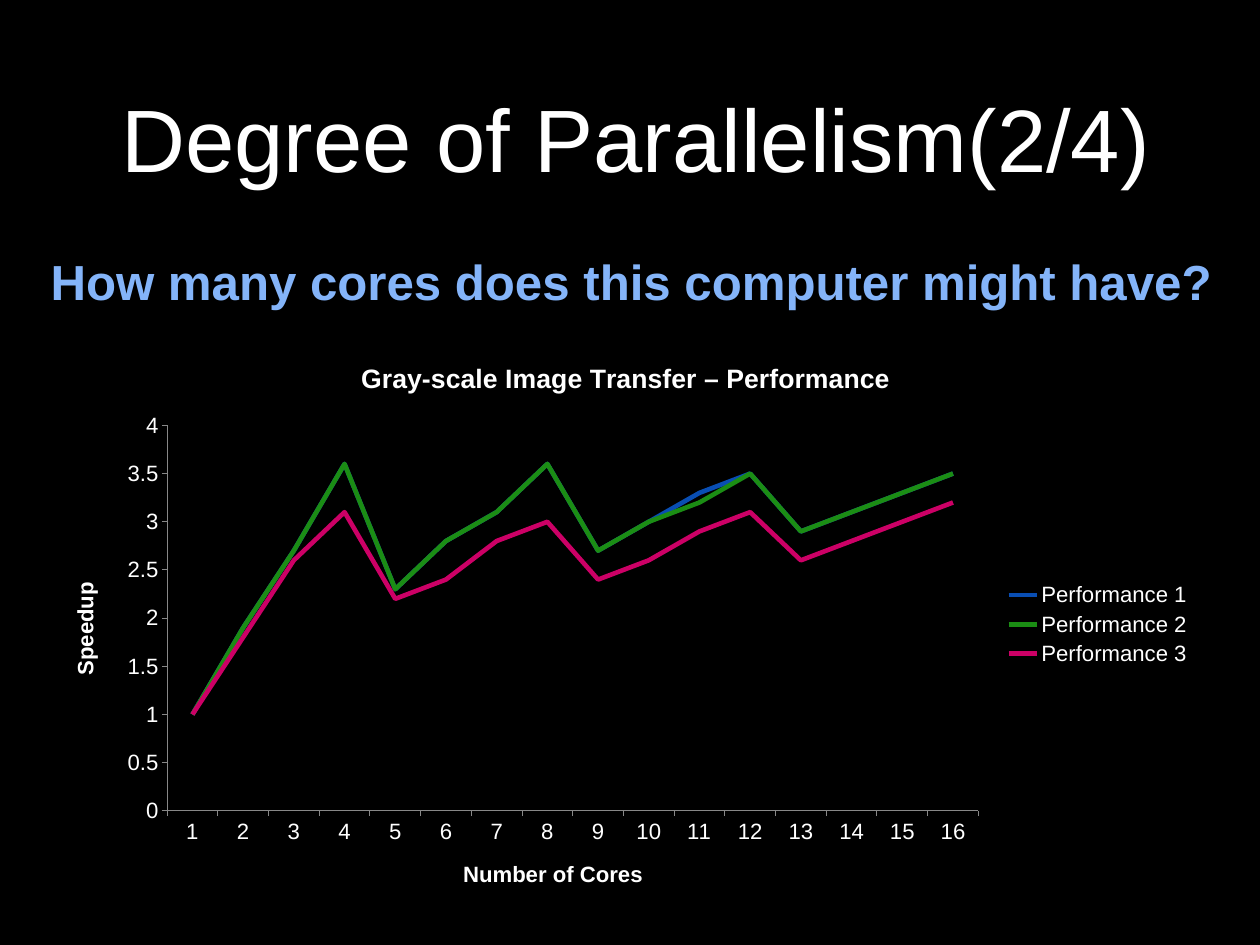
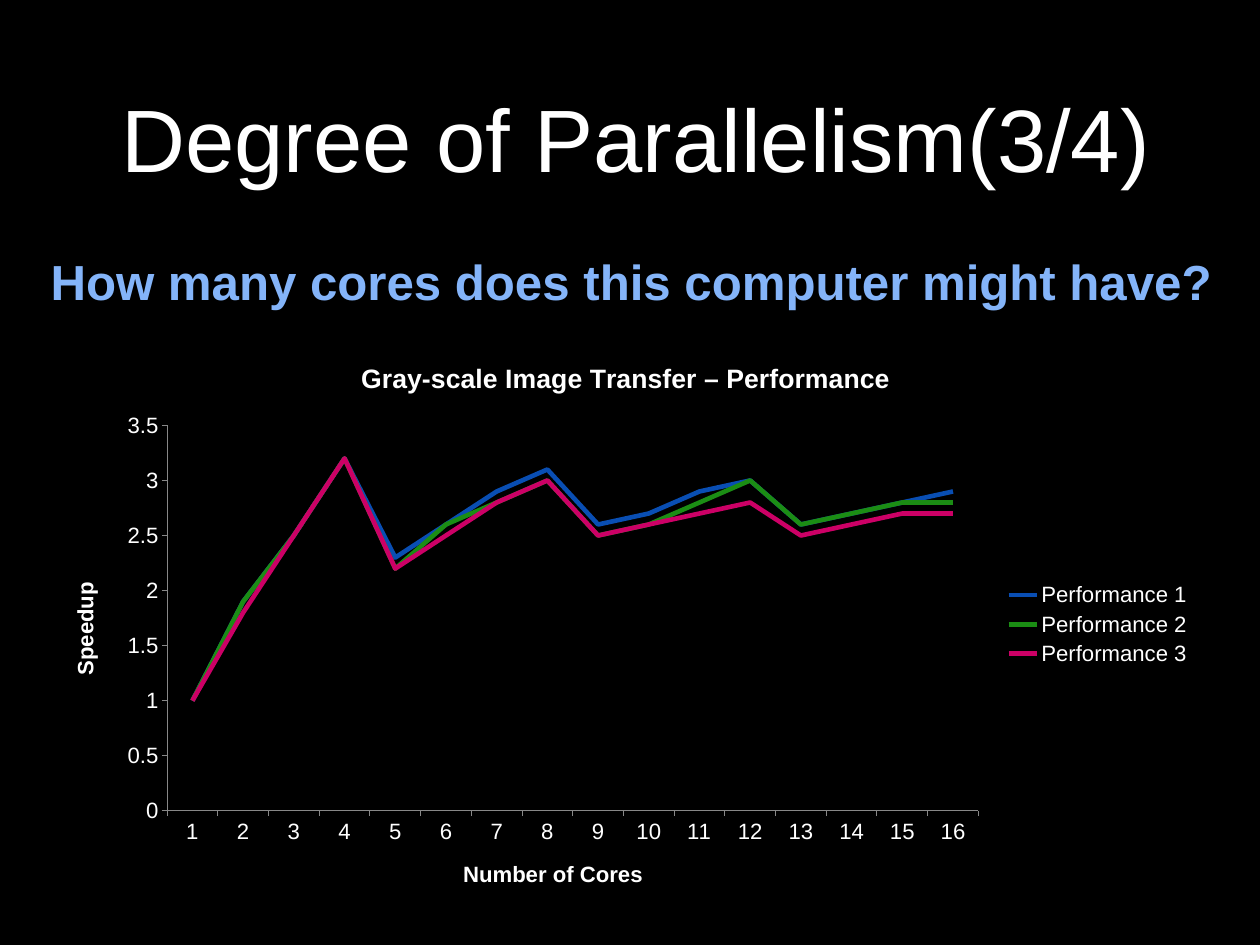
"""Two slides on the degree of parallelism, each with a speedup line chart."""
from dataclasses import dataclass
from typing import Any

from lxml import etree
from pptx import Presentation, util as u
from pptx.chart import data as cd
from pptx.dml.color import RGBColor
from pptx.enum import chart as ce, text as te

HUES = {"back": "000000", "white": "FFFFFF", "sky": "84B4F9", "gray": "888888",
        "blue": "094EB3", "green": "1B8D14", "pink": "CC0066"}
FACE = "Arial"
DRAW = "http://schemas.openxmlformats.org/drawingml/2006/main"
CHART = "http://schemas.openxmlformats.org/drawingml/2006/chart"
ASK = "How many cores does this computer might have?"
HEAD = "Gray-scale Image Transfer – Performance"


@dataclass(frozen=True)
class Box:
    """Place of an object in centimetres."""
    left: float
    top: float
    width: float
    height: float

    def span(self) -> tuple[u.Length, ...]:
        """Return the place as lengths."""
        return tuple(u.Cm(n) for n in (self.left, self.top, self.width, self.height))


@dataclass(frozen=True)
class Label:
    """Place and format of a text block."""
    box: Box
    hue: str
    font: dict[str, Any]
    frame: dict[str, Any]
    para: dict[str, Any]


@dataclass(frozen=True)
class Page:
    """Title and chart values of one slide."""
    title: str
    top: float
    rows: tuple[tuple[float, ...], ...]


BODY = Label(Box(1.45, 7.39, 33.81, 18.64), "sky", {"size": u.Pt(40), "bold": True},
             {"vertical_anchor": te.MSO_ANCHOR.TOP},
             {"alignment": te.PP_ALIGN.LEFT, "line_spacing": 0.9})
TITLE = Label(Box(3.38, 2.03, 29.69, 3.43), "white", {"size": u.Pt(72), "bold": False},
              {"vertical_anchor": te.MSO_ANCHOR.BOTTOM},
              {"alignment": te.PP_ALIGN.CENTER})
PLOT = Box(1.45, 9.75, 32.99, 16.31)
FRAME = {"word_wrap": True, "margin_left": 0, "margin_right": 0,
         "margin_top": 0, "margin_bottom": 0}
AXIS = {"has_major_gridlines": False, "major_tick_mark": ce.XL_TICK_MARK.OUTSIDE,
        "minor_tick_mark": ce.XL_TICK_MARK.NONE}
LEGEND = {"position": ce.XL_LEGEND_POSITION.RIGHT, "include_in_layout": False}

PAGES = (
    Page("Degree of Parallelism(2/4)", 4, (
        (1, 1.9, 2.7, 3.6, 2.3, 2.8, 3.1, 3.6, 2.7, 3, 3.3, 3.5, 2.9, 3.1, 3.3, 3.5),
        (1, 1.9, 2.7, 3.6, 2.3, 2.8, 3.1, 3.6, 2.7, 3, 3.2, 3.5, 2.9, 3.1, 3.3, 3.5),
        (1, 1.8, 2.6, 3.1, 2.2, 2.4, 2.8, 3, 2.4, 2.6, 2.9, 3.1, 2.6, 2.8, 3, 3.2))),
    Page("Degree of Parallelism(3/4)", 3.5, (
        (1, 1.9, 2.5, 3.2, 2.3, 2.6, 2.9, 3.1, 2.6, 2.7, 2.9, 3, 2.6, 2.7, 2.8, 2.9),
        (1, 1.9, 2.5, 3.2, 2.2, 2.6, 2.8, 3, 2.5, 2.6, 2.8, 3, 2.6, 2.7, 2.8, 2.8),
        (1, 1.8, 2.5, 3.2, 2.2, 2.5, 2.8, 3, 2.5, 2.6, 2.7, 2.8, 2.5, 2.6, 2.7, 2.7))),
)


def tint(name: str) -> RGBColor:
    """Return a named colour."""
    return RGBColor.from_string(HUES[name])


def apply(item: Any, form: dict[str, Any]) -> None:
    """Set each format value on an object."""
    for key, val in form.items():
        setattr(item, key, val)


def ink(font: Any, hue: str, form: dict[str, Any]) -> None:
    """Set the face, colour and format of a font."""
    apply(font, {"name": FACE, **form})
    font.color.rgb = tint(hue)


def write(slide: Any, words: str, label: Label) -> None:
    """Add a text block."""
    frame = slide.shapes.add_textbox(*label.box.span()).text_frame
    apply(frame, FRAME | label.frame)
    para = frame.paragraphs[0]
    apply(para, label.para)
    run = para.add_run()
    run.text = words
    ink(run.font, label.hue, label.font)


def name(item: Any, words: str, size: float) -> None:
    """Give a chart or an axis its title."""
    frame = (item.chart_title if hasattr(item, "chart_title") else item.axis_title).text_frame
    run = frame.paragraphs[0].add_run()
    run.text = words
    ink(run.font, "white", {"size": u.Pt(size), "bold": True})


def clear() -> Any:
    """Return shape settings with neither fill nor line."""
    props = etree.Element(f"{{{CHART}}}spPr")
    etree.SubElement(props, f"{{{DRAW}}}noFill")
    line = etree.SubElement(props, f"{{{DRAW}}}ln")
    etree.SubElement(line, f"{{{DRAW}}}noFill")
    return props


def graph(slide: Any, page: Page) -> None:
    """Add the speedup chart."""
    data = cd.CategoryChartData()
    data.categories = [str(n) for n in range(1, 17)]
    for num, row in enumerate(page.rows, 1):
        data.add_series(f"Performance {num}", row)
    chart = slide.shapes.add_chart(ce.XL_CHART_TYPE.LINE, *PLOT.span(), data).chart
    ink(chart.font, "white", {"size": u.Pt(18)})
    name(chart, HEAD, 21.6)
    chart.has_legend = True
    apply(chart.legend, LEGEND)
    for axis, words in ((chart.category_axis, "Number of Cores"),
                        (chart.value_axis, "Speedup")):
        apply(axis, AXIS)
        name(axis, words, 18)
        axis.format.line.color.rgb = tint("gray")
        axis.format.line.width = u.Pt(0.75)
    apply(chart.value_axis, {"minimum_scale": 0, "maximum_scale": page.top,
                             "major_unit": 0.5})
    apply(chart.value_axis.tick_labels, {"number_format": "General",
                                         "number_format_is_linked": False})
    plot = chart.plots[0]
    plot.vary_by_categories = False
    for line, hue in zip(plot.series, ("blue", "green", "pink")):
        line.smooth = False
        line.marker.style = ce.XL_MARKER_STYLE.NONE
        line.format.line.width = u.Pt(3.75)
        line.format.line.color.rgb = tint(hue)
    body = chart.element.find(f"{{{CHART}}}chart")
    body.addnext(clear())
    body.find(f"{{{CHART}}}plotArea").append(clear())


def main() -> None:
    """Build and save the slides."""
    deck = Presentation()
    apply(deck, {"slide_width": u.Cm(36.12), "slide_height": u.Cm(27.1)})
    fill = deck.slide_master.background.fill
    fill.solid()
    fill.fore_color.rgb = tint("back")
    for page in PAGES:
        slide = deck.slides.add_slide(deck.slide_layouts[6])
        write(slide, ASK, BODY)
        graph(slide, page)
        write(slide, page.title, TITLE)
    deck.save("out.pptx")


if __name__ == "__main__":
    main()
